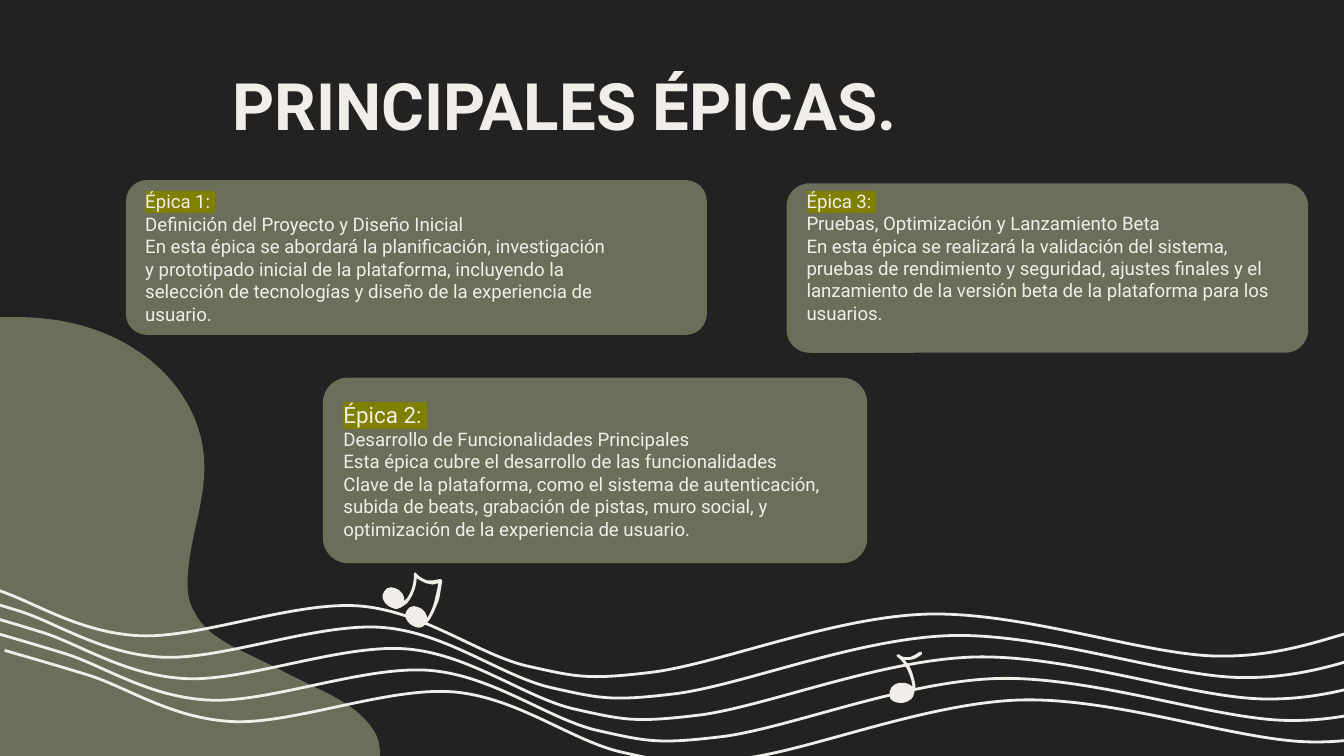
import math

from lxml import etree
from pptx import Presentation
from pptx import util as u
from pptx.dml.color import RGBColor
from pptx.enum import shapes, text
from pptx.oxml.ns import qn

# Outlines in points: a start, then steps of 2 numbers (line) or 6 (curve).
BLOB = [
    (9.4, 169.9), (31, 169.9, 53.3, 175, 71.3, 186.5),
    (93.6, 200.2, 108.7, 223.2, 109.4, 247.7),
    (110.2, 267.8, 102.2, 286.6, 100.8, 306),
    (100.1, 313.9, 100.1, 321.8, 104.4, 328.3),
    (109.4, 338.4, 120.2, 344.2, 130.3, 349.2),
    (145.4, 356.4, 160.6, 364.3, 175.7, 371.5),
    (186.5, 377.3, 195.8, 383, 201.6, 393.8),
    (203.8, 398.9, 203.8, 403.9, 203, 409.7), (0, 409.7), (0, 169.9),
]
STAFF_LINE = [
    (-47.5, 302.4), (-40.3, 304.6, -22.3, 309.6, -1.4, 316.1),
    (18.7, 322.6, 42.5, 339.1, 74.9, 340.6),
    (107.3, 342, 158.4, 321.8, 193, 324.7),
    (227.5, 327.6, 257, 351.4, 283.7, 357.1),
    (309.6, 362.9, 315.4, 364.3, 350.6, 360),
    (386.6, 355, 447.1, 330.5, 496.8, 329),
    (546.5, 327.6, 610.6, 349.9, 649.4, 351.4),
    (687.6, 352.8, 715, 339.8, 728.6, 337.7),
]
STAFF_CENTRE = (340.9, 325.4)
STAFF_TILT = -2.5
STAFF_STEP = (12.5, 11.5)
NOTE_BEAM = [
    (222.5, 306.7), (221.8, 307.4), (221.8, 311.8, 221, 316.1, 218.2, 320.4),
    (217.4, 321.1, 216, 322.6, 215.3, 323.3),
    (214.6, 324, 213.8, 324, 212.4, 324), (211, 324), (210.6, 325.4),
    (212.4, 326.2), (213.8, 326.2, 214.6, 325.4, 216, 324.7),
    (217.4, 324, 218.9, 322.6, 219.6, 321.1),
    (221.8, 317.5, 223.2, 313.9, 223.2, 309.6),
    (224.6, 311, 226.8, 311.8, 228.2, 312.5),
    (229.7, 312.5, 230.4, 313.2, 231.8, 313.2), (234.7, 312.5),
    (234.7, 313.9, 234, 316.8, 233.3, 319.7),
    (232.6, 324, 230.4, 329.8, 226.8, 334.1), (226.8, 335.5), (227.5, 334.8),
    (229.7, 333.4, 231.1, 330.5, 232.6, 327.6),
    (233.3, 325.4, 234.7, 323.3, 235.4, 320.4),
    (236.2, 315.4, 236.9, 311.8, 236.9, 311), (236.2, 310.3), (235.4, 310.3),
    (234, 311, 233.3, 311, 231.8, 311), (229, 311),
    (226.8, 310.3, 224.6, 309, 223.2, 307.4),
]
NOTE_HEAD = [
    (209.5, 314.6), (208.1, 314.6, 206.6, 315.4, 205.9, 316.8),
    (203.8, 319, 205.2, 322.6, 208.1, 324.7),
    (209.5, 325.4, 211, 326.2, 211.7, 326.2),
    (213.8, 326.2, 215.3, 325.4, 216, 324),
    (217.4, 321.8, 216.7, 318.2, 213.8, 316.1),
    (212.4, 315.4, 211, 314.6, 209.5, 314.6),
]
SINGLE_NOTE = [
    (493.2, 349.2), (492.5, 349.2), (491, 350.6, 488.9, 351.4, 487.4, 352.1),
    (486, 352.1), (484.6, 352.1, 483.1, 352.1, 481.7, 350.6),
    (481, 350.6), (480.2, 351.4), (481, 352.1),
    (484.6, 355, 486.7, 359.3, 488.2, 364.3),
    (488.2, 365.8, 488.9, 366.5, 488.9, 367.9),
    (487.4, 366.5, 485.3, 365.8, 483.8, 365.8), (481.7, 365.8),
    (478.1, 366.5, 475.9, 369.4, 476.6, 373),
    (476.6, 375.1, 479.5, 376.6, 482.4, 376.6), (483.8, 376.6),
    (487.4, 375.8, 489.6, 373.7, 489.6, 371.5),
    (491, 368.6, 490.3, 365.8, 489.6, 363.6),
    (488.9, 360, 487.4, 356.4, 484.6, 353.5), (487.4, 353.5),
    (489.6, 353.5, 491.8, 352.1, 493.9, 350.6), (493.9, 349.2),
]

# Box, heading, heading size, bottom inset, body paragraphs.
CARDS = [
    ((67.5, 96.5, 311.2, 82.9), "Épica 1: ", 10, 7.2, [
        "Definición del Proyecto y Diseño Inicial",
        "En esta épica se abordará la planificación, investigación",
        "y prototipado inicial de la plataforma, incluyendo la",
        "selección de tecnologías y diseño de la experiencia de",
        "usuario."]),
    ((421.4, 98.2, 279.4, 90.8), "Épica 3: ", 10, 19.2, [
        "Pruebas, Optimización y Lanzamiento Beta",
        "En esta épica se realizará la validación del sistema, pruebas de "
        "rendimiento y seguridad, ajustes finales y el lanzamiento de la "
        "versión beta de la plataforma para los usuarios."]),
    ((173, 202.3, 291.6, 99.4), "Épica 2: ", 12, 7.2, [
        "Desarrollo de Funcionalidades Principales",
        "Esta épica cubre el desarrollo de las funcionalidades",
        "Clave de la plataforma, como el sistema de autenticación, subida de "
        "beats, grabación de pistas, muro social, y optimización de la "
        "experiencia de usuario."]),
]


def color(value):
    return RGBColor.from_string(value)


def place(outline, offset=(0, 0), degrees=0):
    """Rotate an outline about the staff centre, shift it, and pair its numbers."""
    cos, sin = math.cos(math.radians(degrees)), math.sin(math.radians(degrees))
    cx, cy = STAFF_CENTRE
    return [[(cx + (x - cx) * cos - (y - cy) * sin + offset[0],
              cy + (x - cx) * sin + (y - cy) * cos + offset[1])
             for x, y in zip(step[::2], step[1::2])] for step in outline]


def bounds(steps, samples=20):
    """Return left, top, right and bottom of the drawn curves."""
    points = [steps[0][0]]
    for step in steps[1:]:
        controls = [points[-1], *step]
        degree = len(step)
        for i in range(1, samples + 1):
            t = i / samples
            weights = [math.comb(degree, k) * (1 - t) ** (degree - k) * t ** k
                       for k in range(degree + 1)]
            points.append([sum(w * c[axis] for w, c in zip(weights, controls))
                           for axis in (0, 1)])
    xs, ys = zip(*points)
    return min(xs), min(ys), max(xs), max(ys)


class MusicSlide:
    FONT = "Roboto"
    DARK, OLIVE, CREAM, MARKER = "222222", "6B6F59", "F1EEE9", "808000"

    def __init__(self, presentation):
        self.slide = presentation.slides.add_slide(presentation.slide_layouts[5])
        background = self.slide.background.fill
        background.solid()
        background.fore_color.rgb = color(self.DARK)

    def run(self, paragraph, content, size, bold=False, highlight=None):
        run = paragraph.add_run()
        run.text = content
        run.font.size, run.font.bold = u.Pt(size), bold
        run.font.color.rgb = color(self.CREAM)
        if highlight:
            marker = etree.SubElement(run.font._element, qn("a:highlight"))
            etree.SubElement(marker, qn("a:srgbClr"), val=highlight)
        run.font.name = self.FONT

    def frame(self, shape, anchor, bottom=7.2):
        frame = shape.text_frame
        frame.word_wrap = True
        frame.auto_size = text.MSO_AUTO_SIZE.NONE
        frame.vertical_anchor = anchor
        frame.margin_left = frame.margin_right = frame.margin_top = u.Pt(7.2)
        frame.margin_bottom = u.Pt(bottom)
        return frame

    def title(self, box, content):
        shape = self.slide.shapes.title
        shape.left, shape.top, shape.width, shape.height = map(u.Pt, box)
        paragraph = self.frame(shape, text.MSO_ANCHOR.TOP).paragraphs[0]
        paragraph.alignment = text.PP_ALIGN.LEFT
        paragraph.line_spacing = 1.15
        self.run(paragraph, content, 35, bold=True)

    def paint(self, shape, fill):
        shape.shadow.inherit = False
        shape.fill.solid()
        shape.fill.fore_color.rgb = color(fill)
        shape.line.fill.background()

    def outline(self, steps, fill=None):
        """Draw a filled closed outline, or an open cream line without a fill."""
        left, top, right, bottom = bounds(steps)
        builder = self.slide.shapes.build_freeform(u.Pt(left), u.Pt(top))
        builder.add_line_segments([(u.Pt(right), u.Pt(bottom))], close=False)
        shape = builder.convert_to_shape()
        geometry = next(shape._element.iter(qn("a:path")))
        for child in list(geometry):
            geometry.remove(child)
        for i, step in enumerate(steps):
            tag = "a:moveTo" if i == 0 else {1: "a:lnTo", 3: "a:cubicBezTo"}[len(step)]
            command = etree.SubElement(geometry, qn(tag))
            for x, y in step:
                etree.SubElement(command, qn("a:pt"), x=str(u.Pt(x - left)),
                                 y=str(u.Pt(y - top)))
        if fill:
            etree.SubElement(geometry, qn("a:close"))
            self.paint(shape, fill)
        else:
            shape.shadow.inherit = False
            shape.fill.background()
            shape.line.color.rgb, shape.line.width = color(self.CREAM), u.Pt(1.5)
        return shape

    def card(self, box, heading, heading_size, bottom, body):
        shape = self.slide.shapes.add_shape(
            shapes.MSO_SHAPE.ROUNDED_RECTANGLE, *map(u.Pt, box))
        shape.adjustments[0] = 0.135
        self.paint(shape, self.OLIVE)
        frame = self.frame(shape, text.MSO_ANCHOR.MIDDLE, bottom)
        self.run(frame.paragraphs[0], heading, heading_size, highlight=self.MARKER)
        for content in body:
            self.run(frame.add_paragraph(), content, 10)
        for paragraph in frame.paragraphs:
            paragraph.alignment = text.PP_ALIGN.LEFT


def main():
    presentation = Presentation()
    presentation.slide_width, presentation.slide_height = u.Pt(720), u.Pt(405)
    page = MusicSlide(presentation)
    page.title((117.4, 21.6, 461.5, 41.8), "PRINCIPALES ÉPICAS.")
    page.outline(place(BLOB), page.OLIVE)
    for i in range(5):
        offset = (i * STAFF_STEP[0], i * STAFF_STEP[1])
        page.outline(place(STAFF_LINE, offset, -STAFF_TILT)).rotation = STAFF_TILT
    page.outline(place(NOTE_BEAM), page.CREAM)
    for offset in ((0, 0), (12.2, 10.1)):
        page.outline(place(NOTE_HEAD, offset), page.CREAM)
    page.outline(place(SINGLE_NOTE), page.CREAM)
    for card in CARDS:
        page.card(*card)
    presentation.save("out.pptx")


if __name__ == "__main__":
    main()
